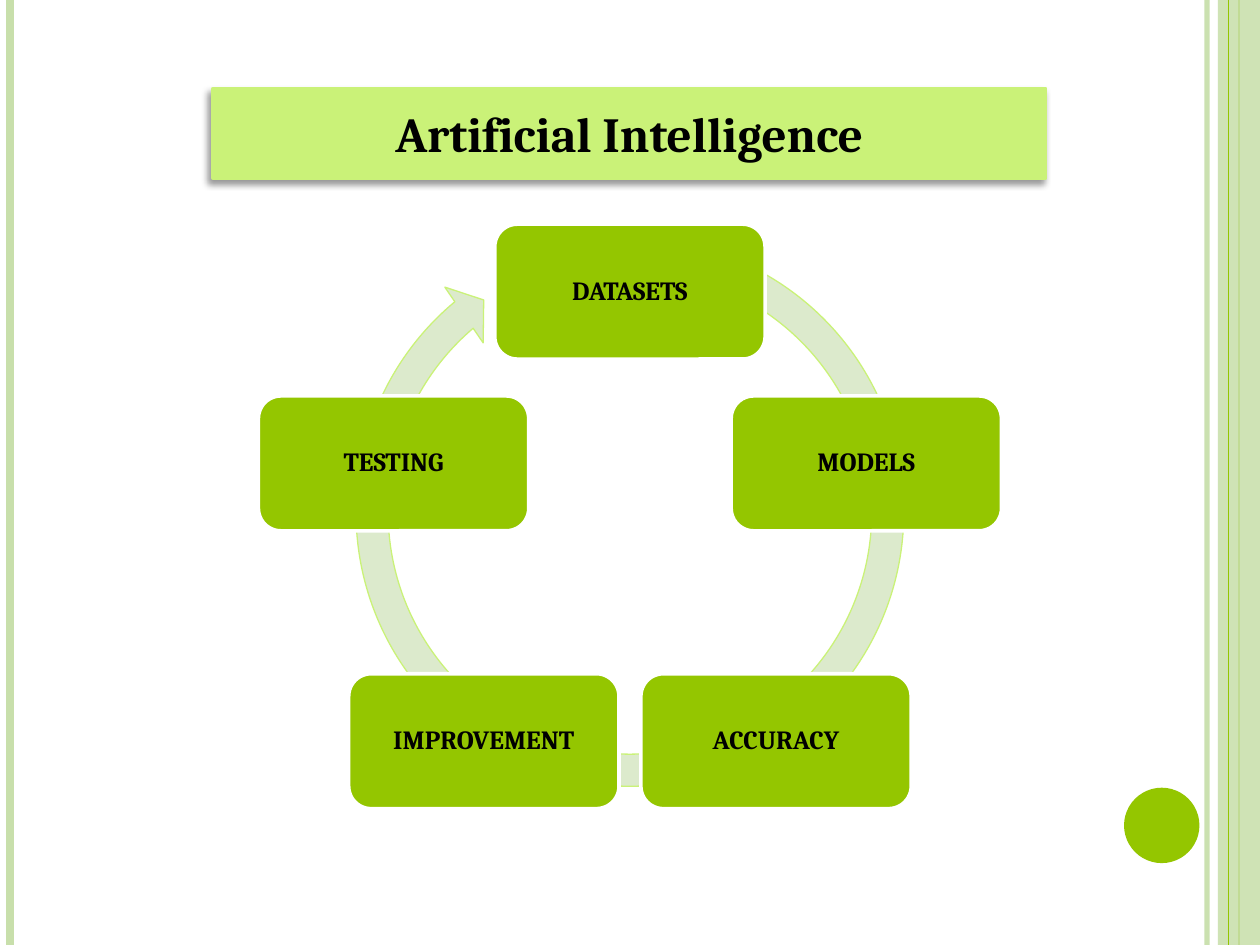
import math

from lxml import etree
from pptx import Presentation
from pptx.dml.color import RGBColor
from pptx.enum.shapes import MSO_CONNECTOR, MSO_SHAPE
from pptx.enum.text import MSO_ANCHOR, PP_ALIGN
from pptx.oxml.ns import qn
from pptx.util import Cm, Pt

RECTANGLE = MSO_SHAPE.RECTANGLE
ROUNDED = MSO_SHAPE.ROUNDED_RECTANGLE
OVAL = MSO_SHAPE.OVAL
CIRCULAR_ARROW = MSO_SHAPE.CIRCULAR_ARROW
STRAIGHT = MSO_CONNECTOR.STRAIGHT
CENTER = PP_ALIGN.CENTER
MIDDLE = MSO_ANCHOR.MIDDLE

GREEN = RGBColor(0x94, 0xC6, 0x00)
LIME = RGBColor(0xCA, 0xF2, 0x78)
SAGE = RGBColor(0xC8, 0xDF, 0xAB)
PALE = RGBColor(0xDC, 0xEA, 0xCC)
WHITE = RGBColor(0xFF, 0xFF, 0xFF)
BLACK = RGBColor(0, 0, 0)

PAGE_WIDTH, PAGE_HEIGHT = 25.4, 19.05


class SlideBuilder:
    """Holds the style and the current slide; lengths are in centimetres."""

    font_name = "Cambria"

    def __init__(self, page):
        self.page = page

    def set_alpha(self, element, percent):
        color = next(element.iter(qn("a:srgbClr")))
        etree.SubElement(color, qn("a:alpha")).set("val", str(percent * 1000))

    def rule(self, x, color, width, alpha=None):
        """Vertical line over the full page height."""
        line = self.page.shapes.add_connector(
            STRAIGHT, Cm(x), Cm(0), Cm(x), Cm(PAGE_HEIGHT))
        line.line.color.rgb = color
        line.line.width = Pt(width)
        properties = line._element.spPr
        if alpha:
            self.set_alpha(properties, alpha)
        etree.SubElement(properties, qn("a:effectLst"))

    def shape(self, kind, x, y, width, height, fill, line=None, line_width=0.75):
        shape = self.page.shapes.add_shape(
            kind, Cm(x), Cm(y), Cm(width), Cm(height))
        shape.shadow.inherit = False
        shape.fill.solid()
        shape.fill.fore_color.rgb = fill
        if line is None:
            shape.line.fill.background()
        else:
            shape.line.color.rgb = line
            shape.line.width = Pt(line_width)
        return shape

    def text(self, shape, words, size, spacing=1.0):
        frame = shape.text_frame
        frame.word_wrap = True
        frame.vertical_anchor = MIDDLE
        para = frame.paragraphs[0]
        para.alignment = CENTER
        para.line_spacing = spacing
        span = para.add_run()
        span.text = words
        span.font.name = self.font_name
        span.font.size = Pt(size)
        span.font.bold = True
        span.font.color.rgb = BLACK

    def drop_shadow(self, shape, blur, distance, angle, alpha):
        effects = shape._element.spPr.find(qn("a:effectLst"))
        shadow = etree.SubElement(effects, qn("a:outerShdw"))
        shadow.set("blurRad", str(Pt(blur)))
        shadow.set("dist", str(Pt(distance)))
        shadow.set("dir", str(angle * 60000))
        shadow.set("algn", "tl")
        shadow.set("rotWithShape", "0")
        etree.SubElement(shadow, qn("a:srgbClr")).set("val", str(BLACK))
        self.set_alpha(shadow, alpha)


def draw_frame(builder):
    builder.rule(24.33, SAGE, 3, alpha=93)
    builder.rule(0.21, SAGE, 4.5)
    builder.rule(24.98, GREEN, 1.5)
    band = builder.shape(RECTANGLE, 24.55, 0, 0.85, PAGE_HEIGHT, SAGE)
    builder.set_alpha(band._element.spPr, 87)
    builder.rule(24.77, GREEN, 0.75)
    builder.shape(OVAL, 22.66, 15.88, 1.52, 1.52, GREEN)


def draw_cycle(builder):
    # Ring with arrowhead
    ring = builder.shape(CIRCULAR_ARROW, 6.82, 4.45, 11.76, 11.76, PALE, LIME)
    for index, value in enumerate((0.055, 3.307, 137.969, 173.732, 0.058)):
        ring.adjustments[index] = value

    # Steps, clockwise from the top
    steps = ("DATASETS", "MODELS", "ACCURACY", "IMPROVEMENT", "TESTING")
    center_x, center_y, radius = PAGE_WIDTH / 2, 10.89, 5.01
    width, height = 5.45, 2.72
    for index, step in enumerate(steps):
        angle = math.tau * index / len(steps)
        x = center_x + radius * math.sin(angle) - width / 2
        y = center_y - radius * math.cos(angle) - height / 2
        node = builder.shape(ROUNDED, x, y, width, height, GREEN, WHITE, 2.08)
        builder.text(node, step, 15, spacing=0.9)


def draw_title(builder):
    title = builder.shape(RECTANGLE, 4.29, 1.79, 16.79, 1.8, LIME, LIME, 2.08)
    builder.drop_shadow(title, blur=4, distance=3, angle=135, alpha=40)
    builder.text(title, "Artificial Intelligence", 28)


def main():
    deck = Presentation()
    deck.slide_width = Cm(PAGE_WIDTH)
    deck.slide_height = Cm(PAGE_HEIGHT)
    builder = SlideBuilder(deck.slides.add_slide(deck.slide_layouts[6]))
    draw_frame(builder)
    draw_cycle(builder)
    draw_title(builder)
    deck.save("out.pptx")


if __name__ == "__main__":
    main()
